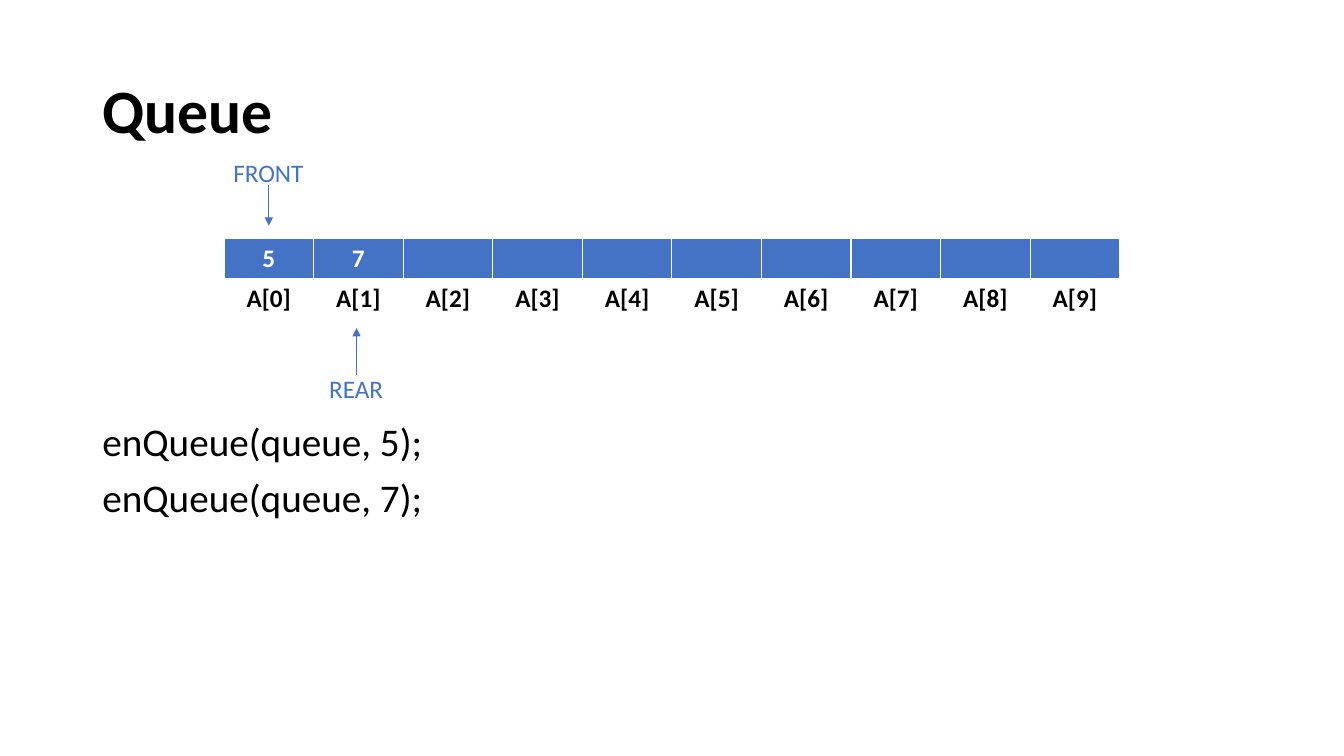
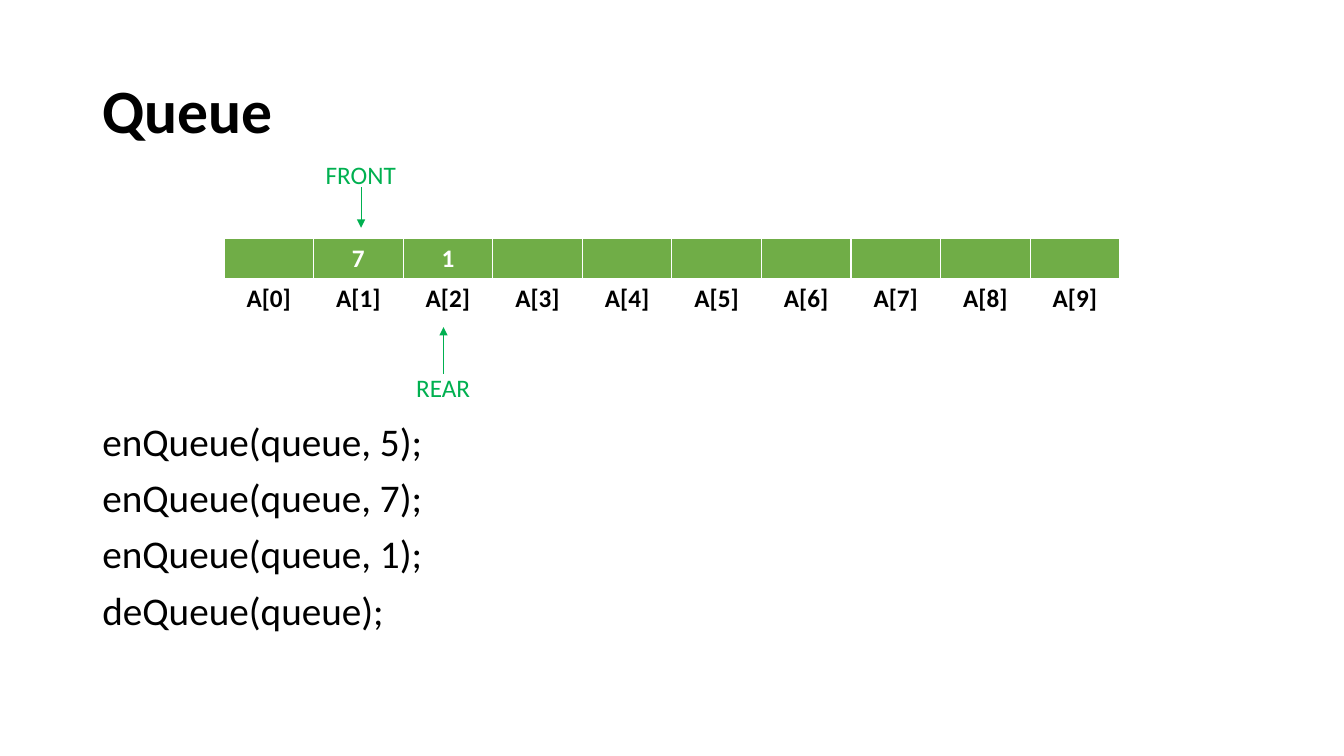
from dataclasses import dataclass

from lxml import etree
from pptx import Presentation
from pptx import util as u
from pptx.dml.color import RGBColor
from pptx.enum import shapes, text
from pptx.oxml import ns


@dataclass(frozen=True)
class Theme:
    font: str = "Calibri"
    ink: str = "000000"
    paper: str = "FFFFFF"
    blue: str = "4472C4"
    leaf: str = "70AD47"
    green: str = "00B050"
    title: float = 44
    body: float = 28
    label: float = 18
    arrow: float = 0.5


@dataclass(frozen=True)
class Area:
    left: float
    top: float
    width: float
    height: float


@dataclass(frozen=True)
class Marker:
    name: str
    cell: float
    label_top: float
    label_width: float
    tail: float
    tip: float


@dataclass(frozen=True)
class QueueState:
    values: dict[int, str]
    calls: list[str]
    fill: str
    accent: str
    markers: list[Marker]


THEME = Theme()
WIDTH, HEIGHT = u.Inches(13.333), u.Inches(7.5)
CELLS = 10
COLUMN = 100 / 15
ARRAY_LEFT = 2.5 * COLUMN
ROW = 5.41
TITLE = Area(6.88, 5.33, 86.25, 19.33)
BODY = Area(6.88, 55.2, 86.25, 42.53)
VALUES_TOP, INDEX_TOP = 31.6, 36.8
BORDERS = {"a:lnL": 1, "a:lnR": 1, "a:lnT": 1, "a:lnB": 3}


def across(share: float) -> int:
    return round(WIDTH * share / 100)


def down(share: float) -> int:
    return round(HEIGHT * share / 100)


def frame(area: Area) -> tuple[int, int, int, int]:
    return across(area.left), down(area.top), across(area.width), down(area.height)


def add_span(para, words: str, size: float, color: str, bold: bool = False) -> None:
    span = para.add_run()
    span.text = words
    span.font.name = THEME.font
    span.font.size = u.Pt(size)
    span.font.bold = bold
    span.font.color.rgb = RGBColor.from_string(color)


def add_lines(page, area: Area, lines: list[str], size: float,
              bold: bool = False, before: float = 0,
              anchor=text.MSO_ANCHOR.TOP) -> None:
    box = page.shapes.add_textbox(*frame(area)).text_frame
    box.word_wrap = True
    box.vertical_anchor = anchor
    for number, line in enumerate(lines):
        para = box.add_paragraph() if number else box.paragraphs[0]
        para.line_spacing = 0.9
        para.space_before = u.Pt(before)
        add_span(para, line, size, THEME.ink, bold)


def add_borders(cell) -> None:
    properties = cell._tc.get_or_add_tcPr()
    for tag, points in BORDERS.items():
        line = etree.SubElement(properties, ns.qn(tag), w=str(u.Pt(points)))
        fill = etree.SubElement(line, ns.qn("a:solidFill"))
        etree.SubElement(fill, ns.qn("a:srgbClr"), val=THEME.paper)


def add_array(page, top: float, entries: dict[int, str], color: str,
              fill: str | None = None) -> None:
    area = Area(ARRAY_LEFT, top, CELLS * COLUMN, ROW)
    table = page.shapes.add_table(1, CELLS, *frame(area)).table
    table.first_row = table.horz_banding = False
    for index, cell in enumerate(table.iter_cells()):
        table.columns[index].width = across(COLUMN)
        add_borders(cell)
        if fill:
            cell.fill.solid()
            cell.fill.fore_color.rgb = RGBColor.from_string(fill)
        else:
            cell.fill.background()
        para = cell.text_frame.paragraphs[0]
        para.alignment = text.PP_ALIGN.CENTER
        if index in entries:
            add_span(para, entries[index], THEME.label, color, bold=True)


def add_marker(page, marker: Marker, color: str) -> None:
    group = page.shapes.add_group_shape()
    center = ARRAY_LEFT + (marker.cell + 0.5) * COLUMN
    arrow = group.shapes.add_connector(
        shapes.MSO_CONNECTOR.STRAIGHT, across(center), down(marker.tail),
        across(center), down(marker.tip))
    arrow.line.color.rgb = RGBColor.from_string(color)
    arrow.line.width = u.Pt(THEME.arrow)
    etree.SubElement(arrow.line._get_or_add_ln(), ns.qn("a:tailEnd"), type="triangle")
    etree.SubElement(arrow._element.spPr, ns.qn("a:effectLst"))
    area = Area(center - marker.label_width / 2, marker.label_top,
                marker.label_width, 5.39)
    box = group.shapes.add_textbox(*frame(area)).text_frame
    box.word_wrap = False
    box.auto_size = text.MSO_AUTO_SIZE.SHAPE_TO_FIT_TEXT
    add_span(box.paragraphs[0], marker.name, THEME.label, color)


def front(cell: float, top: float) -> Marker:
    return Marker("FRONT", cell, top, 6.75, top + 4.4, top + 9.73)


def rear(cell: float, top: float) -> Marker:
    return Marker("REAR", cell, top, 5.55, top + 0.93, top - 5.27)


def add_queue(deck, state: QueueState) -> None:
    page = deck.slides.add_slide(deck.slide_layouts[6])
    add_lines(page, TITLE, ["Queue"], THEME.title, bold=True,
              anchor=text.MSO_ANCHOR.MIDDLE)
    add_lines(page, BODY, state.calls, THEME.body, before=10)
    add_array(page, VALUES_TOP, state.values, THEME.paper, state.fill)
    add_array(page, INDEX_TOP, {i: f"A[{i}]" for i in range(CELLS)}, THEME.ink)
    for marker in state.markers:
        add_marker(page, marker, state.accent)


FIRST_CALLS = ["enQueue(queue, 5);", "enQueue(queue, 7);"]
STATES = [
    QueueState({0: "5", 1: "7"}, FIRST_CALLS, THEME.blue, THEME.blue,
               [front(0, 20.13), rear(0.98, 48.67)]),
    QueueState({1: "7", 2: "1"},
               FIRST_CALLS + ["enQueue(queue, 1);", "deQueue(queue);"],
               THEME.leaf, THEME.green,
               [front(1.03, 20.4), rear(1.95, 48.53)]),
]

deck = Presentation()
deck.slide_width, deck.slide_height = WIDTH, HEIGHT
for state in STATES:
    add_queue(deck, state)
deck.save("out.pptx")
